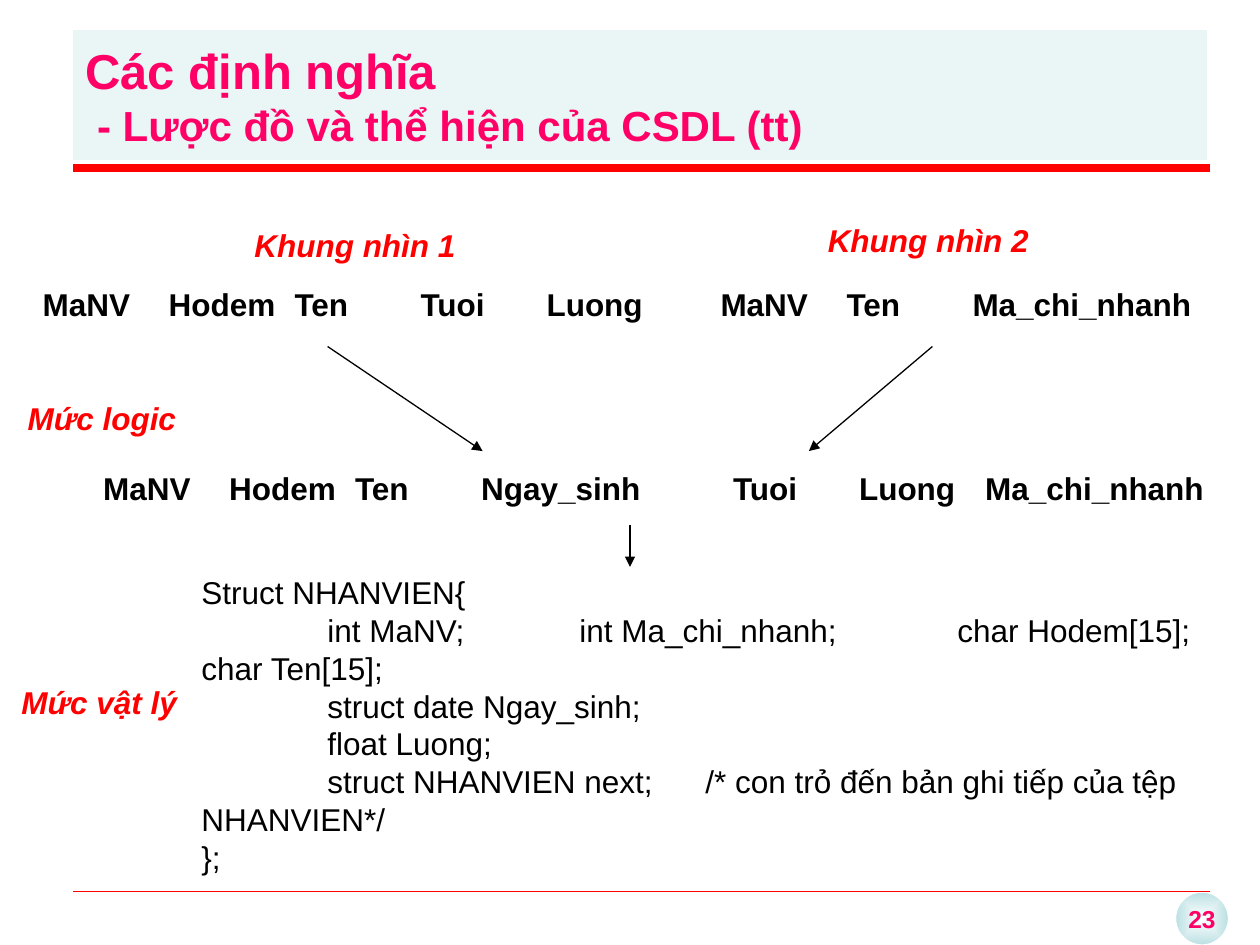
from lxml import etree
from pptx import Presentation
from pptx.dml.color import RGBColor
from pptx.enum import shapes, text
from pptx.oxml import ns
from pptx.util import Inches, Pt

PINK = RGBColor(0xFF, 0x00, 0x66)
RED = RGBColor(0xFF, 0x00, 0x00)
BLACK = RGBColor(0x00, 0x00, 0x00)
WHITE = RGBColor(0xFF, 0xFF, 0xFF)
TEAL = RGBColor(0xBB, 0xE0, 0xE3)

HEADING = {"size": Pt(28), "bold": True, "color": PINK}
SUBHEADING = HEADING | {"size": Pt(24)}
NUMBER = HEADING | {"size": Pt(14)}
CODE = {"size": Pt(18), "bold": False, "color": BLACK}
FIELDS = CODE | {"bold": True}
LABEL = FIELDS | {"italic": True, "color": RED}


def add_xml(parent, tag, **attributes):
    return etree.SubElement(parent, ns.qn(tag), attributes)


class SlideBuilder:
    """Holds the font and the current slide, and draws each kind of element."""

    def __init__(self, slide, font="Arial"):
        self.slide = slide
        self.font = font

    def shape(self, kind, area, fill=WHITE, alpha=None):
        box = self.slide.shapes.add_shape(kind, *map(Inches, area))
        box.shadow.inherit = False
        box.fill.solid()
        box.fill.fore_color.rgb = fill
        box.line.fill.background()
        if alpha:
            color = box._element.spPr.find(".//" + ns.qn("a:srgbClr"))
            add_xml(color, "a:alpha", val=str(alpha * 1000))
        return box

    def span(self, para, words, style):
        span = para.add_run()
        span.text = words
        span.font.name = self.font
        for name, value in style.items():
            if name == "color":
                span.font.color.rgb = value
            else:
                setattr(span.font, name, value)

    def fill_text(self, box, lines, style, align=text.PP_ALIGN.LEFT,
                  anchor=text.MSO_ANCHOR.TOP, wrap=True, inset=None):
        frame = box.text_frame
        frame.word_wrap = wrap
        frame.vertical_anchor = anchor
        if inset is not None:
            for side in ("left", "top", "right", "bottom"):
                setattr(frame, f"margin_{side}", Inches(inset))
        for index, line in enumerate(lines):
            para = frame.add_paragraph() if index else frame.paragraphs[0]
            para.alignment = align
            if "\t" in line:
                tabs = add_xml(para._p.get_or_add_pPr(), "a:tabLst")
                for stop in range(1, 10):
                    add_xml(tabs, "a:tab", pos=str(Inches(stop)), algn="l")
            self.span(para, line, style)

    def text_box(self, area, lines, style, **options):
        box = self.shape(shapes.MSO_SHAPE.RECTANGLE, area)
        self.fill_text(box, lines, style, **options)

    def title(self, area, heading, subheading):
        box = self.shape(shapes.MSO_SHAPE.RECTANGLE, area, TEAL, alpha=30)
        self.fill_text(box, [heading], HEADING, anchor=text.MSO_ANCHOR.MIDDLE)
        para = box.text_frame.paragraphs[0]
        para.add_line_break()
        self.span(para, subheading, SUBHEADING)

    def page_number(self, area, number):
        badge = self.shape(shapes.MSO_SHAPE.OVAL, area)
        badge.line.color.rgb = WHITE
        badge.line.width = Pt(0.75)
        properties = badge._element.spPr
        gradient = etree.Element(ns.qn("a:gradFill"), rotWithShape="1")
        stops = add_xml(gradient, "a:gsLst")
        for position, color in ((0, WHITE), (100, TEAL)):
            stop = add_xml(stops, "a:gs", pos=str(position * 1000))
            add_xml(stop, "a:srgbClr", val=str(color))
        focus = add_xml(gradient, "a:path", path="shape")
        add_xml(focus, "a:fillToRect", **dict.fromkeys("ltrb", "50000"))
        properties.replace(properties.find(ns.qn("a:solidFill")), gradient)
        self.fill_text(badge, [number], NUMBER, align=text.PP_ALIGN.CENTER,
                       anchor=text.MSO_ANCHOR.MIDDLE, wrap=False)

    def line(self, start, end, color=BLACK, width=0.75, arrow=False):
        line = self.slide.shapes.add_connector(
            shapes.MSO_CONNECTOR.STRAIGHT, *map(Inches, start + end))
        line.line.color.rgb = color
        line.line.width = Pt(width)
        properties = line._element.spPr
        if arrow:
            add_xml(properties.find(ns.qn("a:ln")), "a:tailEnd", type="triangle")
        add_xml(properties, "a:effectLst")


def main():
    deck = Presentation()
    deck.slide_width, deck.slide_height = Inches(10), Inches(7.5)
    page = SlideBuilder(deck.slides.add_slide(deck.slide_layouts[6]))

    page.page_number((9.33, 7.08, 0.42, 0.42), "23")
    for y, width in ((7.07, 0.25), (1.33, 4.5)):
        page.line((0.58, y), (9.6, y), RED, width)
    page.title((0.58, 0.24, 9, 1.03), "Các định nghĩa", " - Lược đồ và thể hiện của CSDL (tt)")

    field_rows = (
        ((0.24, 2.21, 5.34, 0.45), ("MaNV", "Hodem", "Ten", "Tuoi", "Luong")),
        ((5.62, 2.21, 4.38, 0.45), ("MaNV", "Ten", "Ma_chi_nhanh")),
        ((0.72, 3.67, 8.95, 0.49),
         ("MaNV", "Hodem", "Ten", "Ngay_sinh", "Tuoi", "Luong", "Ma_chi_nhanh")),
    )
    for area, fields in field_rows:
        page.text_box(area, ["\t".join(fields)], FIELDS)

    labels = (
        ((2.02, 1.79, 1.64, 0.52), "Khung nhìn 1"),
        ((6.57, 1.75, 1.64, 0.52), "Khung nhìn 2"),
        ((0.22, 3.17, 1.23, 0.33), "Mức logic"),
        ((0.17, 5.42, 1.42, 0.35), "Mức vật lý"),
    )
    for area, label in labels:
        page.text_box(area, [label], LABEL, inset=0)

    page.text_box((1.5, 4.5, 8.08, 2.5), [
        "Struct NHANVIEN{",
        "\tint MaNV;\tint Ma_chi_nhanh;\tchar Hodem[15];\tchar Ten[15];",
        "\tstruct date Ngay_sinh;",
        "\tfloat Luong;",
        "\tstruct NHANVIEN next;\t/* con trỏ đến bản ghi tiếp của tệp NHANVIEN*/",
        "};",
    ], CODE)

    arrows = (
        ((2.6, 2.75), (3.83, 3.58)),
        ((7.4, 2.75), (6.42, 3.58)),
        ((5, 4.17), (5, 4.5)),
    )
    for start, end in arrows:
        page.line(start, end, arrow=True)

    deck.save("out.pptx")


if __name__ == "__main__":
    main()
